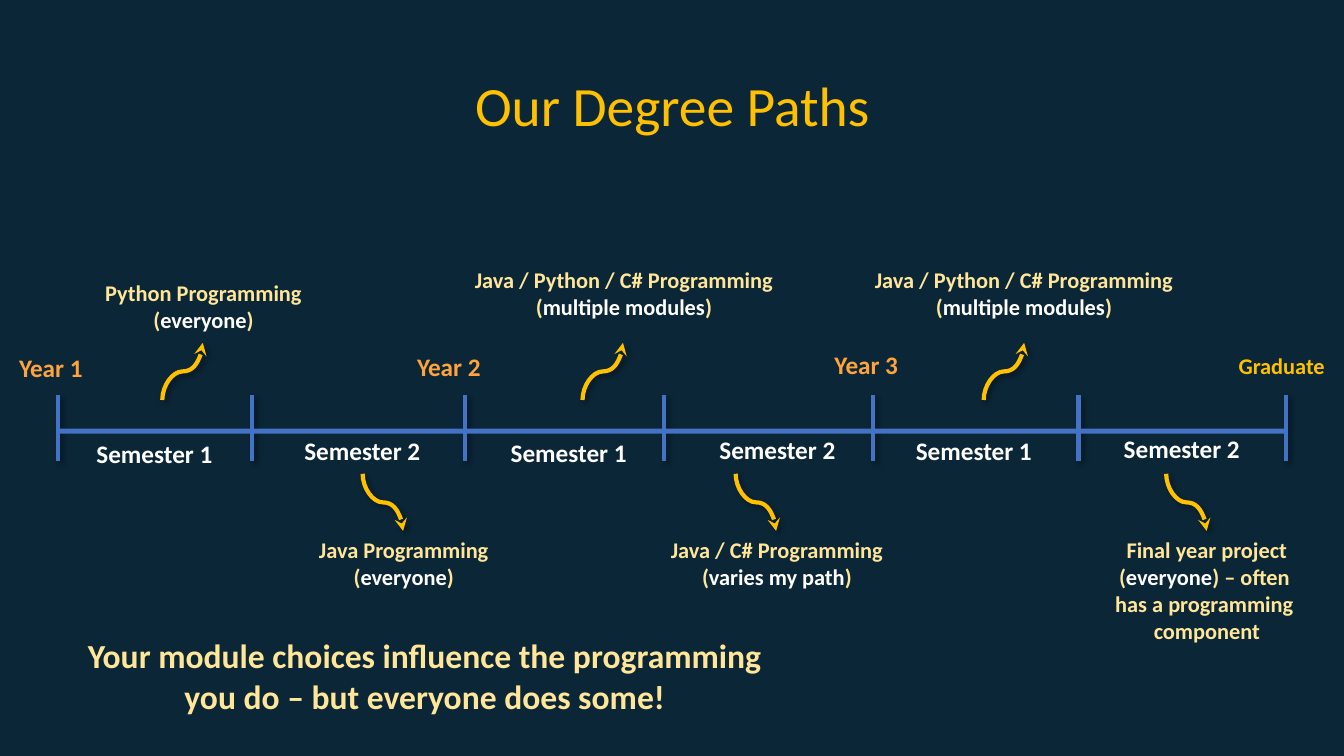
import pptx
import pptx.util
import pptx.dml.color
import pptx.enum.shapes
import pptx.enum.text
import pptx.oxml
import pptx.oxml.ns

Cm = pptx.util.Cm
Pt = pptx.util.Pt
RGB = pptx.dml.color.RGBColor.from_string
ALIGN = pptx.enum.text.PP_ALIGN
ANCHOR = pptx.enum.text.MSO_ANCHOR
CONNECTOR = pptx.enum.shapes.MSO_CONNECTOR
COLORS = {
    "background": "0B2637",
    "gold": "FFC000",
    "line": "4472C4",
    "year": "FFA43D",
    "cream": "FFE699",
    "white": "FFFFFF",
}
NS = pptx.oxml.ns.nsdecls("a")
SHADOW = (
    f'<a:effectLst {NS}><a:outerShdw blurRad="50800" dist="38100" dir="2700000" algn="tl" rotWithShape="0">'
    '<a:srgbClr val="000000"><a:alpha val="40000"/></a:srgbClr></a:outerShdw></a:effectLst>'
)


def add_text(box, paragraphs, size, bold=True, align=ALIGN.CENTER, wrap=False, anchor=ANCHOR.TOP, spacing=1.0):
    sp = slide.shapes.add_textbox(*[Cm(v) for v in box])
    tf = sp.text_frame
    for name, value in {"word_wrap": wrap, "vertical_anchor": anchor}.items():
        setattr(tf, name, value)
    for i, runs in enumerate(paragraphs):
        p = tf.add_paragraph() if i else tf.paragraphs[0]
        for name, value in {"alignment": align, "line_spacing": spacing}.items():
            setattr(p, name, value)
        for text, color in runs:
            r = p.add_run()
            r.text = text
            for name, value in {"name": "Calibri", "size": Pt(size), "bold": bold}.items():
                setattr(r.font, name, value)
            r.font.color.rgb = RGB(COLORS[color])


def add_line(kind, x1, y1, x2, y2, color):
    sp = slide.shapes.add_connector(kind, Cm(x1), Cm(y1), Cm(x2), Cm(y2))
    sp.line.color.rgb = RGB(COLORS[color])
    sp.line.width = Pt(3)
    sp._element.spPr.append(pptx.oxml.parse_xml(SHADOW))
    return sp


prs = pptx.Presentation()
prs.slide_width, prs.slide_height = Cm(33.87), Cm(19.05)
slide = prs.slides.add_slide(prs.slide_layouts[6])
slide.background.fill.solid()
slide.background.fill.fore_color.rgb = RGB(COLORS["background"])

add_text((2.34, 1.88, 29.21, 1.73), [[("Our Degree Paths", "gold")]], 39.6,
         bold=False, wrap=True, anchor=ANCHOR.MIDDLE, spacing=0.9)

for x in (1.47, 6.35, 11.71, 16.74, 22.0, 27.18, 32.41):
    add_line(CONNECTOR.STRAIGHT, x, 9.96, x, 11.61, "line")

bar = slide.shapes.add_shape(pptx.enum.shapes.MSO_SHAPE.RECTANGLE, Cm(1.47), Cm(10.8), Cm(30.94), Cm(0.13))
bar.shadow.inherit = False
bar.fill.solid()
bar.fill.fore_color.rgb = RGB(COLORS["line"])
bar.line.fill.background()

years = [(0.23, 8.76), (10.26, 8.74), (20.78, 8.69)]
for number, (x, y) in enumerate(years, 1):
    add_text((x, y, 2.13, 1.02), [[(f"Year {number}", "year")]], 18, align=ALIGN.LEFT)
add_text((30.94, 8.76, 2.72, 0.94), [[("Graduate", "gold")]], 16)

semesters = [(2.18, 10.92), (7.42, 10.85), (12.62, 10.9), (17.88, 10.82), (22.83, 10.85), (28.07, 10.8)]
for i, (x, y) in enumerate(semesters):
    add_text((x, y, 3.45, 1.02), [[(f"Semester {i % 2 + 1}", "white")]], 18, align=ALIGN.LEFT)

modules = [
    ((2.36, 6.91, 5.54, 1.63), 4.09, "Python Programming", "everyone", [")"]),
    ((7.75, 13.39, 4.85, 1.63), 9.14, "Java Programming", "everyone", [")"]),
    ((11.66, 6.58, 8.13, 1.63), 14.68, "Java / Python / C# Programming", "multiple modules", [")"]),
    ((16.61, 13.39, 5.94, 1.63), 18.54, "Java / C# Programming", "varies my path", [")"]),
    ((21.74, 6.58, 8.13, 1.63), 24.79, "Java / Python / C# Programming", "multiple modules", [")"]),
    ((27.81, 13.39, 5.21, 3.0), 29.39, "Final year project", "everyone",
     [") – often ", "has a programming ", "component"]),
]
arrow_length, arrow_width = 1.44, 1.02
for i, (box, arrow_x, subject, audience, ending) in enumerate(modules):
    below = i % 2 == 1
    paragraphs = [[(subject, "cream")], [("(", "cream"), (audience, "white"), (ending[0], "cream")]]
    paragraphs += [[(text, "cream")] for text in ending[1:]]
    add_text(box, paragraphs, 16)

    left = arrow_x + (arrow_width - arrow_length) / 2
    right = left + arrow_length
    top = (11.94 if below else 8.64) + (arrow_length - arrow_width) / 2
    start, end = (right, left) if below else (left, right)
    sp = add_line(CONNECTOR.CURVE, start, top, end, top + arrow_width, "gold")
    sp.rotation_degrees = 270 if below else 90
    sp._element.spPr.xfrm.set("rot", str(sp.rotation_degrees * 60000))
    tag = "tailEnd" if below else "headEnd"
    sp.line._get_or_add_ln().append(pptx.oxml.parse_xml(f'<a:{tag} {NS} type="stealth"/>'))

add_text((1.8, 15.88, 17.81, 2.31),
         [[("Your module choices influence the programming you do – but everyone does some!", "cream")]],
         24, wrap=True)

prs.save("out.pptx")
